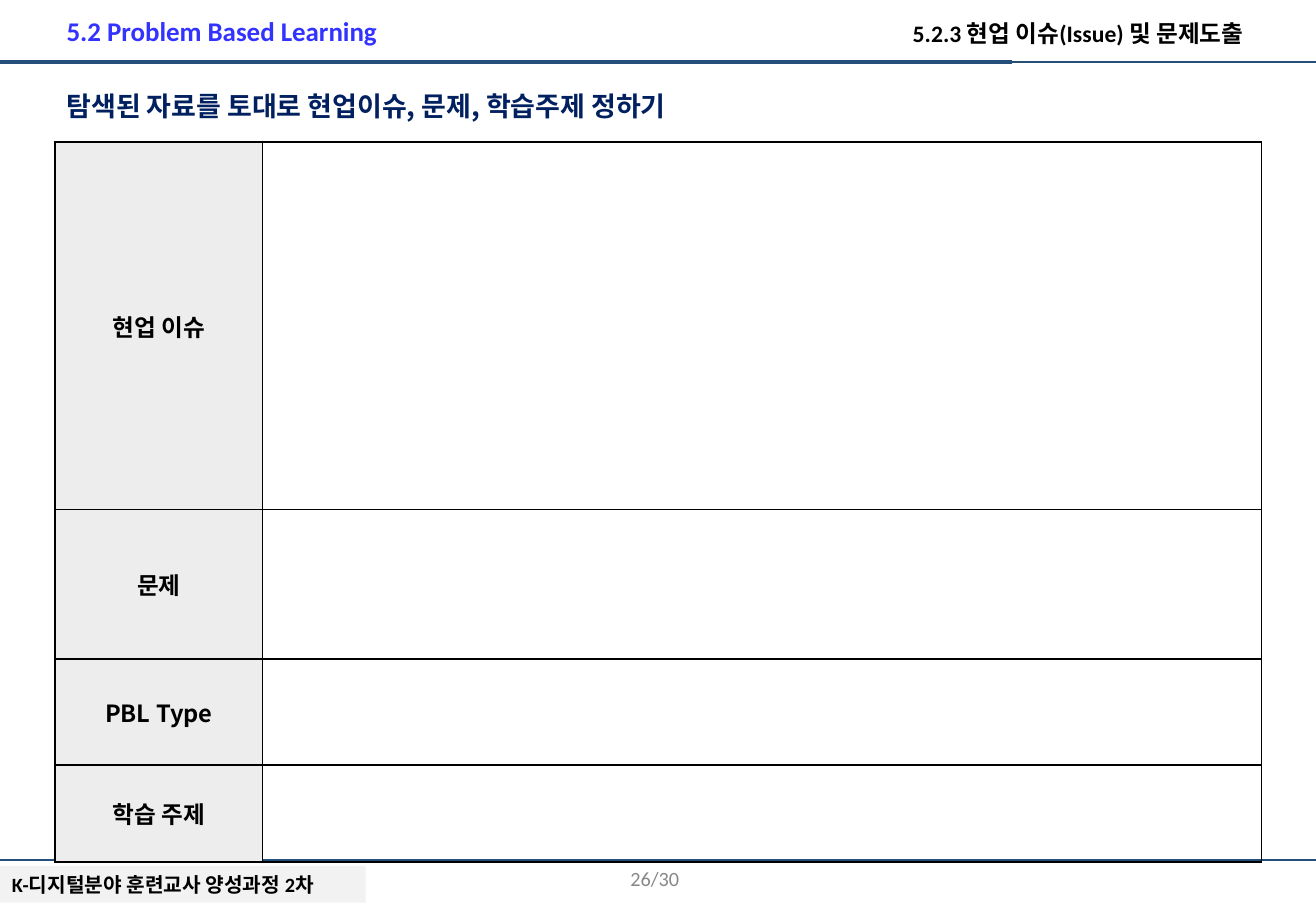
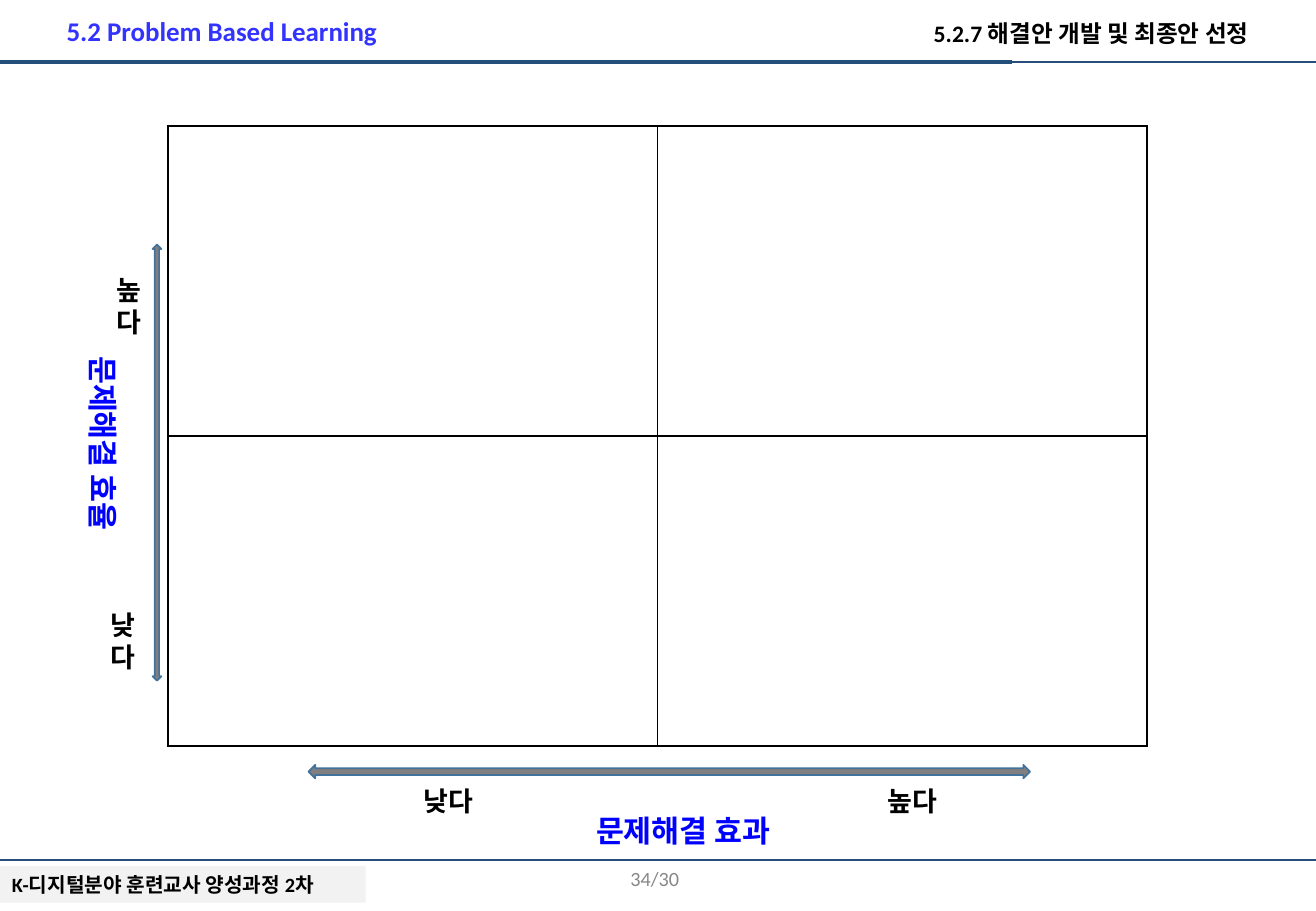
from lxml import etree
from pptx import Presentation
from pptx import util as u
from pptx.dml import color
from pptx.enum import shapes, text
from pptx.oxml import ns

WIDTH, HEIGHT = 780, 540
MARGIN = 32.4
COLORS = {
    "rule": "244F7A",
    "band": "F2F2F2",
    "section": "3333FF",
    "heading": "002060",
    "axis": "0000FF",
    "text": "000000",
    "page": "888888",
    "label": "EDEDED",
    "arrow": "7F7F7F",
    "arrow_line": "42719B",
}
LATIN, KOREAN = "Calibri", "Noto Sans CJK KR"
LEFT, CENTER, RIGHT = text.PP_ALIGN.LEFT, text.PP_ALIGN.CENTER, text.PP_ALIGN.RIGHT
TOP, MIDDLE = text.MSO_ANCHOR.TOP, text.MSO_ANCHOR.MIDDLE


def rgb(name):
    return color.RGBColor.from_string(COLORS[name])


class Deck:
    def __init__(self):
        self.presentation = Presentation()
        self.presentation.slide_width = u.Pt(WIDTH)
        self.presentation.slide_height = u.Pt(HEIGHT)
        self.slide = None

    def add_words(self, frame, words, size, ink="text", align=LEFT, font=LATIN, bold=True):
        paragraph = frame.paragraphs[0]
        paragraph.alignment = align
        run = paragraph.add_run()
        run.text = words
        values = {"name": font, "size": u.Pt(size), "bold": bold}
        for name, value in values.items():
            setattr(run.font, name, value)
        run.font.color.rgb = rgb(ink)

    def label(self, box, words, size, anchor=TOP, rotation=0, **style):
        shape = self.slide.shapes.add_textbox(*map(u.Pt, box))
        shape.rotation = rotation
        shape.text_frame.word_wrap = True
        shape.text_frame.vertical_anchor = anchor
        self.add_words(shape.text_frame, words, size, **style)

    def shape(self, kind, box, fill, line=None, rotation=0):
        shape = self.slide.shapes.add_shape(kind, *map(u.Pt, box))
        shape.shadow.inherit = False
        shape.rotation = rotation
        shape.fill.solid()
        shape.fill.fore_color.rgb = rgb(fill)
        if line:
            shape.line.color.rgb = rgb(line)
            shape.line.width = u.Pt(1)
        else:
            shape.line.fill.background()
        return shape

    def rule(self, top, length, weight):
        connector = self.slide.shapes.add_connector(
            shapes.MSO_CONNECTOR.STRAIGHT, *map(u.Pt, (0, top, length, top)))
        connector.line.color.rgb = rgb("rule")
        connector.line.width = u.Pt(weight)
        properties = connector.element.find(ns.qn("p:spPr"))
        etree.SubElement(properties, ns.qn("a:effectLst"))

    def border(self, cell):
        properties = cell._tc.get_or_add_tcPr()
        for side in ("lnL", "lnR", "lnT", "lnB"):
            line = etree.SubElement(properties, ns.qn("a:" + side), w=str(u.Pt(1)))
            fill = etree.SubElement(line, ns.qn("a:solidFill"))
            etree.SubElement(fill, ns.qn("a:srgbClr"), val=COLORS["text"])

    def table(self, left, top, widths, heights, labels=()):
        box = (left, top, sum(widths), sum(heights))
        table = self.slide.shapes.add_table(
            len(heights), len(widths), *map(u.Pt, box)).table
        table.first_row = table.horz_banding = False
        for column, width in zip(table.columns, widths):
            column.width = u.Pt(width)
        for row, height in zip(table.rows, heights):
            row.height = u.Pt(height)
        for cell in table.iter_cells():
            self.border(cell)
            cell.fill.background()
        for row, words in enumerate(labels):
            cell = table.cell(row, 0)
            cell.fill.solid()
            cell.fill.fore_color.rgb = rgb("label")
            cell.vertical_anchor = MIDDLE
            self.add_words(cell.text_frame, words, 14, align=CENTER, font=KOREAN)

    def start_slide(self, topic, page):
        self.slide = self.presentation.slides.add_slide(
            self.presentation.slide_layouts[6])
        band = self.shape(shapes.MSO_SHAPE.RECTANGLE, (0, 513.3, 216.7, 21.8), "band")
        band.text_frame.vertical_anchor = TOP
        self.add_words(band.text_frame, "K-디지털분야 훈련교사 양성과정 2차", 12)
        self.rule(36.7, WIDTH, 0.75)
        self.rule(36.7, 600, 2.5)
        self.rule(509.8, WIDTH, 0.75)
        self.label((MARGIN, 5, 237, 26.6), "5.2 Problem Based Learning", 16, ink="section")
        self.label((487.4, 7.9, 260, 24.5), topic, 14, align=RIGHT)
        self.label((234, 506.2, 175.7, 28.8), page, 12, anchor=MIDDLE,
                   ink="page", align=RIGHT, bold=False)


def issue_slide(deck):
    deck.start_slide("5.2.3 현업 이슈(Issue) 및 문제도출 ", "26/30")
    deck.table(MARGIN + 0.3, 84.2, (123, 592), (218, 88.5, 62.7, 57.5),
               ("현업 이슈", "문제", "PBL Type", "학습 주제"))
    deck.label((MARGIN, 49.7, 583, 26.6),
               "탐색된 자료를 토대로 현업이슈, 문제, 학습주제 정하기",
               16, ink="heading", font=KOREAN)


def solution_slide(deck):
    deck.start_slide("5.2.7 해결안 개발 및 최종안 선정", "34/30")
    deck.table(99.5, 74.7, (290.2,) * 2, (183.8,) * 2)
    deck.label((337, 478, 136, 29), "문제해결 효과", 18, ink="axis", align=CENTER)
    deck.label((-13.7, 244.8, 142.6, 36), "문제해결 효율", 18,
               rotation=90, ink="axis", align=CENTER)
    for left, top, words in ((61.9, 158.4, "높다"), (58.3, 357.1, "낮다")):
        deck.label((left, top, 33.8, 46), words, 16)
    for left, words in ((231.8, "낮다"), (506.9, "높다")):
        deck.label((left, 461.5, 67.7, 26.6), words, 16, align=CENTER)
    for box, rotation in (((182.9, 453.4, 427.7, 8), 0), ((-36.2, 271.6, 258.5, 5.2), 270)):
        deck.shape(shapes.MSO_SHAPE.LEFT_RIGHT_ARROW, box, "arrow", "arrow_line", rotation)


def main():
    deck = Deck()
    issue_slide(deck)
    solution_slide(deck)
    deck.presentation.save("out.pptx")


if __name__ == "__main__":
    main()
